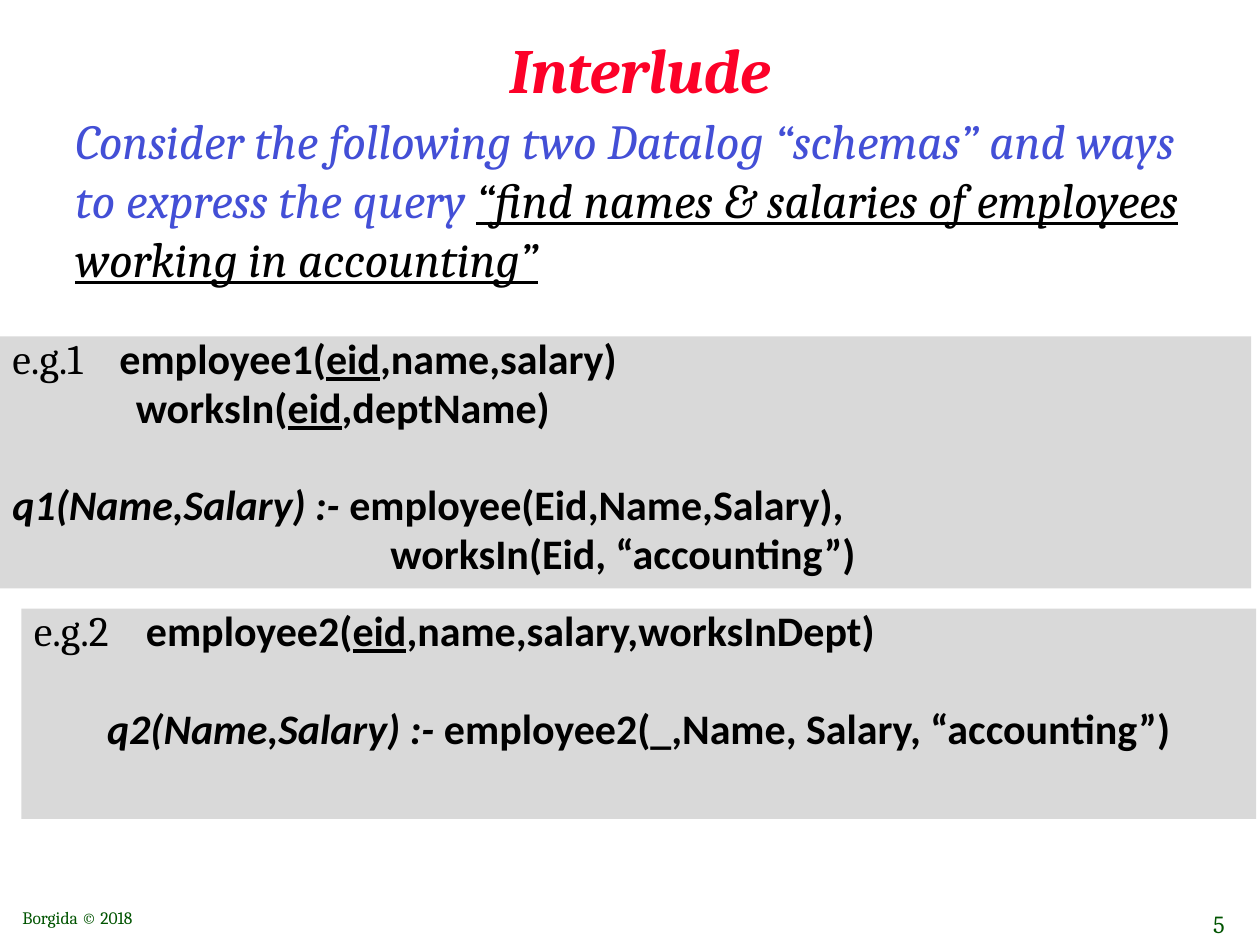
from pptx import Presentation
from pptx.dml.color import RGBColor
from pptx.enum import shapes, text
from pptx.util import Inches, Pt

RED = RGBColor(0xFC, 0x01, 0x28)
BLUE = RGBColor(0x43, 0x4F, 0xD6)
GREEN = RGBColor(0x00, 0x54, 0x00)
BLACK = RGBColor(0, 0, 0)
GREY = RGBColor(0xD9, 0xD9, 0xD9)
LEFT, CENTER, RIGHT = text.PP_ALIGN.LEFT, text.PP_ALIGN.CENTER, text.PP_ALIGN.RIGHT
TOP, MIDDLE = text.MSO_ANCHOR.TOP, text.MSO_ANCHOR.MIDDLE


def add_run(paragraph, wording, size=24, font="Calibri", color=BLACK,
            bold=False, italic=False, underline=False):
    run = paragraph.add_run()
    run.text = wording
    run.font.size = Pt(size)
    run.font.name = font
    run.font.color.rgb = color
    run.font.bold = bold
    run.font.italic = italic
    run.font.underline = underline


def add_label(slide, box, runs, align=LEFT, anchor=MIDDLE, wrap=True, before=0):
    label = slide.shapes.add_textbox(*map(Inches, box))
    frame = label.text_frame
    frame.word_wrap = wrap
    frame.vertical_anchor = anchor
    paragraph = frame.paragraphs[0]
    paragraph.alignment = align
    paragraph.space_before = Pt(before)
    for wording, style in runs:
        add_run(paragraph, wording, font="Cambria", **style)


def add_panel(slide, box):
    panel = slide.shapes.add_shape(shapes.MSO_SHAPE.RECTANGLE, *map(Inches, box))
    panel.shadow.inherit = False
    panel.fill.solid()
    panel.fill.fore_color.rgb = GREY
    panel.line.fill.background()
    panel.text_frame.word_wrap = True
    panel.text_frame.vertical_anchor = TOP
    return panel.text_frame


def add_code_line(frame, runs, align=LEFT, indent=0, hanging=0, before=4.8):
    first = frame.paragraphs[0]
    paragraph = frame.add_paragraph() if first.runs else first
    paragraph.alignment = align
    paragraph.line_spacing = 0.8
    paragraph.space_before = Pt(before)
    properties = paragraph._p.get_or_add_pPr()
    properties.set("marL", str(Inches(indent)))
    properties.set("indent", str(-Inches(hanging)))
    for wording, style in runs:
        add_run(paragraph, wording, **{"bold": True, **style})


def add_schema(frame, relation, attributes, indent, example=None):
    lead = [(example + "\t", {"font": "Cambria", "bold": False})] if example else []
    key = [(relation + "(", {}), ("eid", {"underline": True}), (attributes, {})]
    add_code_line(frame, lead + key, indent=indent, hanging=indent if example else 0)


def add_query(frame, head, body, align=LEFT):
    add_code_line(frame, [(head + " :- ", {"italic": True}), (body, {})],
                  align=align, before=32.6)


def main():
    deck = Presentation()
    deck.slide_width, deck.slide_height = Inches(10), Inches(7.5)
    slide = deck.slides.add_slide(deck.slide_layouts[6])

    add_label(slide, (0.08, 7.15, 3.08, 0.26),
              [("Borgida © 2018", {"size": 10, "color": GREEN})])
    add_label(slide, (9.39, 7.17, 0.43, 0.33),
              [("5", {"size": 14, "color": GREEN})], align=RIGHT, wrap=False)
    add_label(slide, (0.83, 0.17, 8.5, 0.75),
              [("Interlude", {"size": 36, "color": RED, "bold": True, "italic": True})],
              align=CENTER)
    add_label(slide, (0.5, 0.83, 9.17, 1.25), [
        ("Consider the following two Datalog “schemas” and ways to express the query ",
         {"size": 28, "color": BLUE, "italic": True}),
        ("“find names & salaries of employees working in accounting”",
         {"size": 28, "italic": True, "underline": True}),
    ], anchor=TOP, before=5.6)

    two_tables = add_panel(slide, (0, 2.67, 9.93, 2))
    add_schema(two_tables, "employee1", ",name,salary)", 0.85, "e.g.1")
    add_schema(two_tables, "worksIn", ",deptName)", 0.98)
    add_query(two_tables, "q1(Name,Salary)", "employee(Eid,Name,Salary),")
    add_code_line(two_tables, [("worksIn(Eid, “accounting”)", {})], indent=3)

    one_table = add_panel(slide, (0.17, 4.83, 9.8, 1.67))
    add_schema(one_table, "employee2", ",name,salary,worksInDept)", 0.89, "e.g.2")
    add_query(one_table, "q2(Name,Salary)",
              "employee2(_,Name, Salary, “accounting”)", align=CENTER)

    deck.save("out.pptx")


main()
